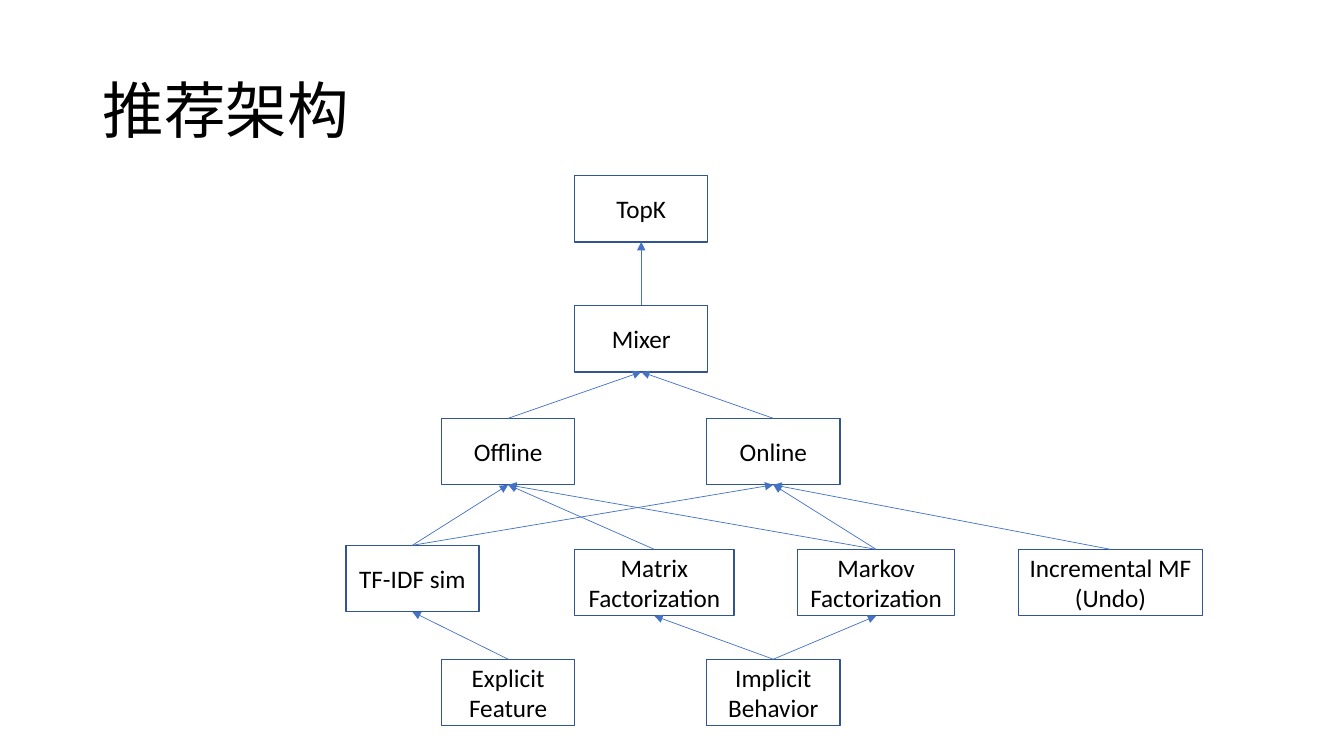
from lxml.etree import SubElement
from pptx import Presentation
from pptx.dml.color import RGBColor
from pptx.enum.shapes import MSO_CONNECTOR as Link, MSO_SHAPE as Shape
from pptx.enum.text import MSO_ANCHOR as Anchor, PP_ALIGN as Align
from pptx.oxml.ns import qn

# Content: name -> (text, left, top, width), in px
TITLE = "推荐架构"
BOXES = {
    "topk": ("TopK", 570, 174, 132),
    "mixer": ("Mixer", 570, 303, 132),
    "offline": ("Offline", 438, 415, 132),
    "online": ("Online", 701, 415, 132),
    "tfidf": ("TF-IDF sim", 343, 541, 132),
    "matrix": ("Matrix Factorization", 570, 545, 158),
    "markov": ("Markov\nFactorization", 791, 545, 156),
    "increment": ("Incremental MF\n(Undo)", 1010, 545, 183),
    "explicit": ("Explicit Feature", 438, 654, 132),
    "implicit": ("Implicit\nBehavior", 701, 654, 132),
}
HIGH = 66

# Each arrow runs from the lower box up to the higher one
ARROWS = [
    ("explicit", "tfidf"), ("implicit", "matrix"), ("implicit", "markov"),
    ("matrix", "offline"), ("tfidf", "offline"), ("markov", "offline"),
    ("increment", "online"), ("tfidf", "online"), ("markov", "online"),
    ("offline", "mixer"), ("online", "mixer"), ("mixer", "topk"),
]

PX = 9144  # EMU per px, 100 px to the inch
PT = 12700
TOP, BOTTOM = 0, 2


def px(*vals):
    return [v * PX for v in vals]


def color(code):
    return RGBColor.from_string(code)


def write(shape, text, size=18, align=Align.CENTER, space=None):
    frame = shape.text_frame
    frame.word_wrap = True
    frame.vertical_anchor = Anchor.MIDDLE
    frame.text = text
    for para in frame.paragraphs:
        para.alignment = align
        para.line_spacing = space
        for run in para.runs:
            run.font.size = size * PT
            run.font.name = "Calibri"
            run.font.color.rgb = color("000000")


def add_box(text, left, top, width):
    box = shapes.add_shape(Shape.RECTANGLE, *px(left, top, width, HIGH))
    box.shadow.inherit = False
    box.fill.solid()
    box.fill.fore_color.rgb = color("FFFFFF")
    box.line.color.rgb = color("325491")
    box.line.width = PT
    write(box, text)
    return box


def add_arrow(low, high):
    line = shapes.add_connector(Link.STRAIGHT, 0, 0, 0, 0)
    line.begin_connect(low, TOP)
    line.end_connect(high, BOTTOM)
    line.line.color.rgb = color("4472C4")
    line.line.width = PT // 2
    props = line._element.spPr
    SubElement(props.find(qn("a:ln")), qn("a:tailEnd"), type="triangle")
    SubElement(props, qn("a:effectLst"))


deck = Presentation()
deck.slide_width, deck.slide_height = px(1333, 750)
shapes = deck.slides.add_slide(deck.slide_layouts[6]).shapes

# Title
head = shapes.add_textbox(*px(92, 40, 1150, 145))
write(head, TITLE, size=44, align=Align.LEFT, space=0.9)

# Diagram
nodes = {name: add_box(*data) for name, data in BOXES.items()}
for low, high in ARROWS:
    add_arrow(nodes[low], nodes[high])

deck.save("out.pptx")
